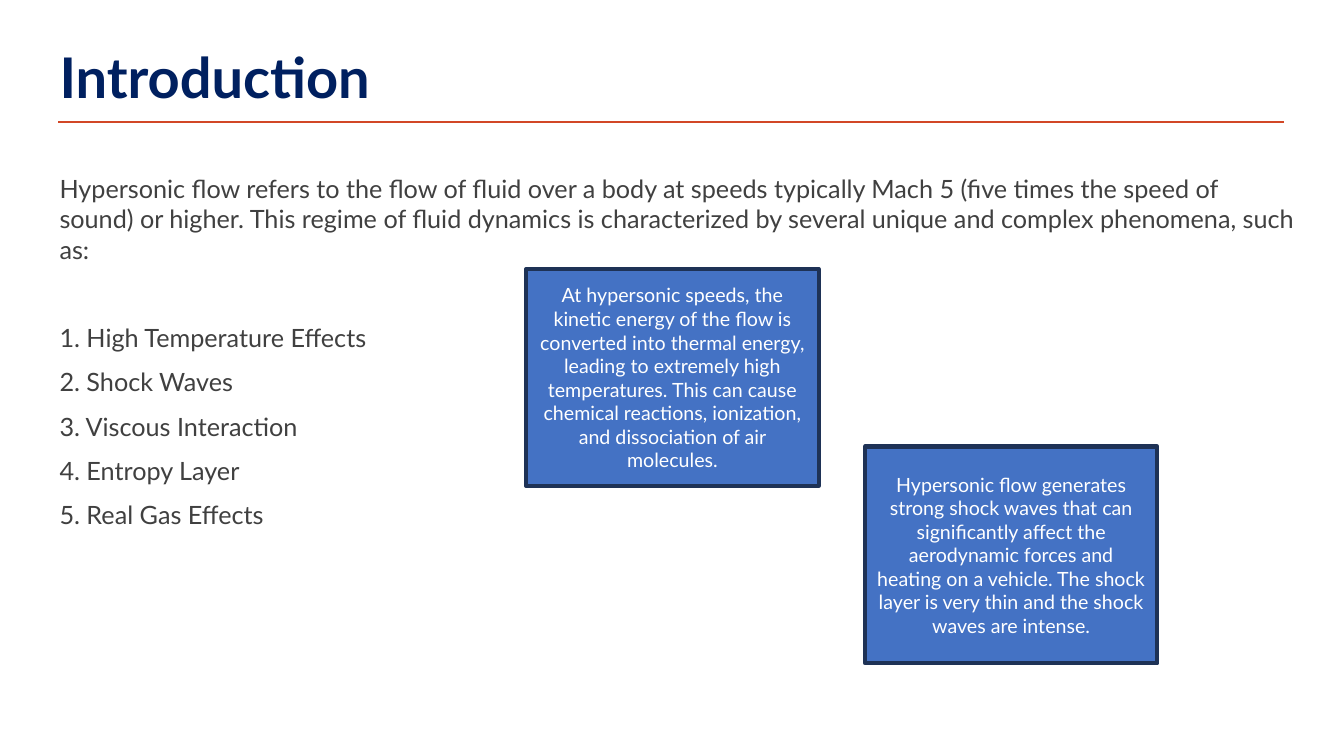
from lxml import etree
from pptx import Presentation
from pptx.dml.color import RGBColor
from pptx.enum.shapes import MSO_CONNECTOR, MSO_SHAPE
from pptx.enum.text import MSO_ANCHOR, MSO_AUTO_SIZE, PP_ALIGN
from pptx.oxml.ns import qn
from pptx.util import Inches, Pt

LINE, RECT = MSO_CONNECTOR.STRAIGHT, MSO_SHAPE.RECTANGLE
TOP, MIDDLE = MSO_ANCHOR.TOP, MSO_ANCHOR.MIDDLE
LEFT, CENTER = PP_ALIGN.LEFT, PP_ALIGN.CENTER
NO_FIT = MSO_AUTO_SIZE.NONE

COLORS = {
    "title": "002060",
    "body": "404040",
    "rule": "D24726",
    "box": "4472C4",
    "edge": "1E3256",
    "white": "FFFFFF",
}


def rgb(name):
    return RGBColor.from_string(COLORS[name])


def style(para, size, color, align, bold=False):
    para.alignment = align
    for run in para.runs:
        font = run.font
        font.name, font.size, font.bold = "Lato", Pt(size), bold
        font.color.rgb = rgb(color)


deck = Presentation()
deck.slide_width, deck.slide_height = Inches(13.33), Inches(7.5)
slide = deck.slides.add_slide(deck.slide_layouts[1])
title, body = slide.placeholders

# Title
title.left, title.top = Inches(0.49), Inches(0.45)
title.width, title.height = Inches(10), Inches(0.7)
frame = title.text_frame
frame.text = "Introduction"
frame.auto_size, frame.vertical_anchor = NO_FIT, MIDDLE
frame.paragraphs[0].line_spacing = 0.9
style(frame.paragraphs[0], 40, "title", LEFT, bold=True)

# Rule under the title
rule = slide.shapes.add_connector(
    LINE, Inches(0.58), Inches(1.21), Inches(12.74), Inches(1.21))
rule.line.color.rgb = rgb("rule")
rule.line.width = Pt(2)
etree.SubElement(rule.element.spPr, qn("a:effectLst"))

# Opening text and list of phenomena
body.left, body.top = Inches(0.49), Inches(1.67)
body.width, body.height = Inches(12.47), Inches(4.91)
topics = ["High Temperature Effects", "Shock Waves", "Viscous Interaction",
          "Entropy Layer", "Real Gas Effects"]
intro = ("Hypersonic flow refers to the flow of fluid over a body at speeds "
         "typically Mach 5 (five times the speed of sound) or higher. This "
         "regime of fluid dynamics is characterized by several unique and "
         "complex phenomena, such as:")
items = [f"{num}. {topic}" for num, topic in enumerate(topics, 1)]
frame = body.text_frame
frame.text = "\n".join([intro] + items)
frame.auto_size, frame.vertical_anchor = NO_FIT, TOP
for para in frame.paragraphs:
    props = para._p.get_or_add_pPr()
    props.set("marL", "0")
    props.set("indent", "0")
    etree.SubElement(props, qn("a:buNone"))
    para.space_before = Pt(10)
    style(para, 18, "body", LEFT)
frame.paragraphs[0].space_before = Pt(0)
frame.paragraphs[1].space_before = Pt(41.6)

# Explanation boxes
notes = [
    (5.22, 2.67, "At hypersonic speeds, the kinetic energy of the flow is "
     "converted into thermal energy, leading to extremely high temperatures. "
     "This can cause chemical reactions, ionization, and dissociation of air "
     "molecules."),
    (8.58, 4.43, "Hypersonic flow generates strong shock waves that can "
     "significantly affect the aerodynamic forces and heating on a vehicle. "
     "The shock layer is very thin and the shock waves are intense."),
]
for left, top, text in notes:
    box = slide.shapes.add_shape(
        RECT, Inches(left), Inches(top), Inches(2.9), Inches(2.15))
    box.shadow.inherit = False
    box.fill.solid()
    box.fill.fore_color.rgb = rgb("box")
    box.line.color.rgb = rgb("edge")
    box.line.width = Pt(3)
    frame = box.text_frame
    frame.text = text
    frame.word_wrap, frame.vertical_anchor = True, MIDDLE
    style(frame.paragraphs[0], 14, "white", CENTER)

deck.save("out.pptx")
